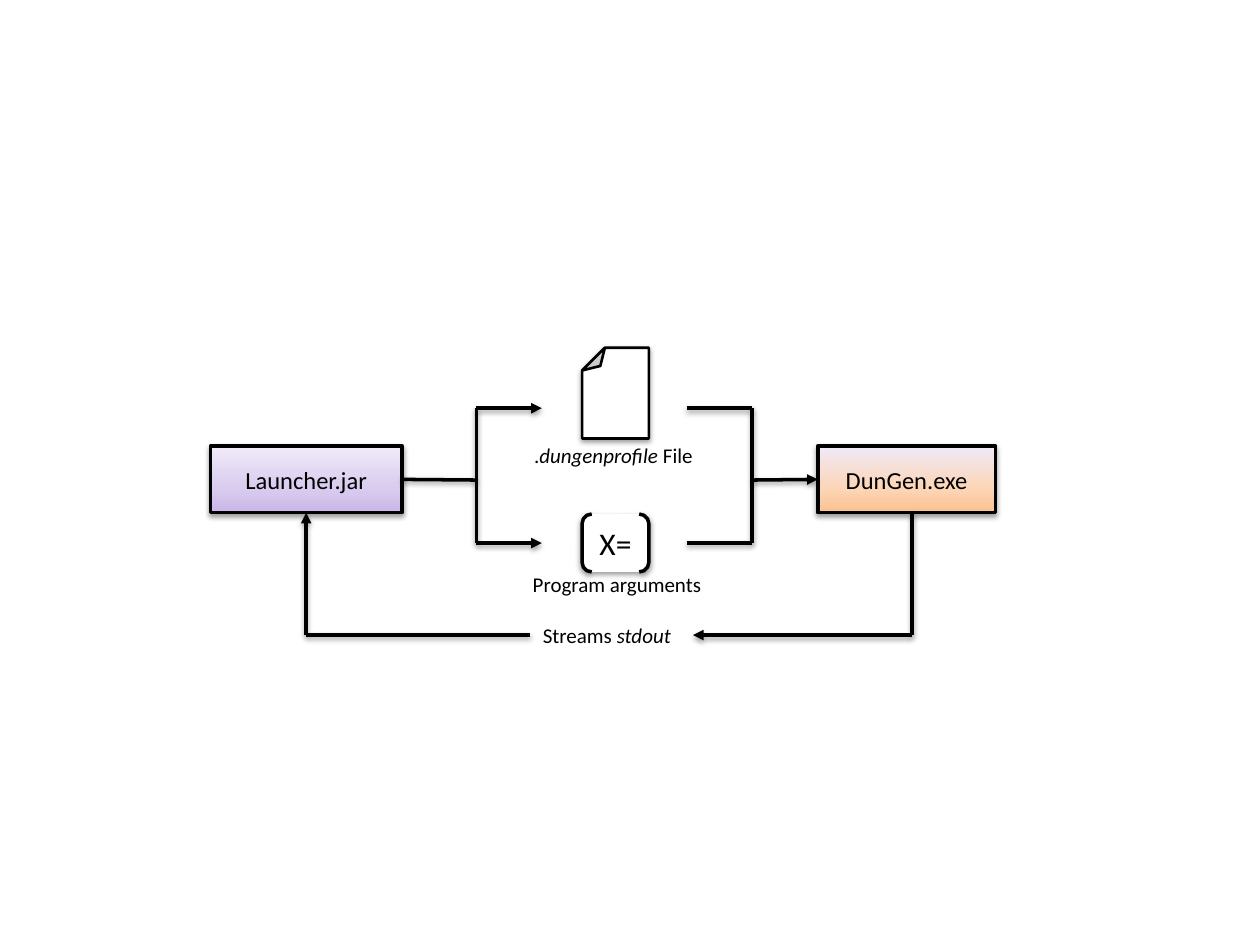
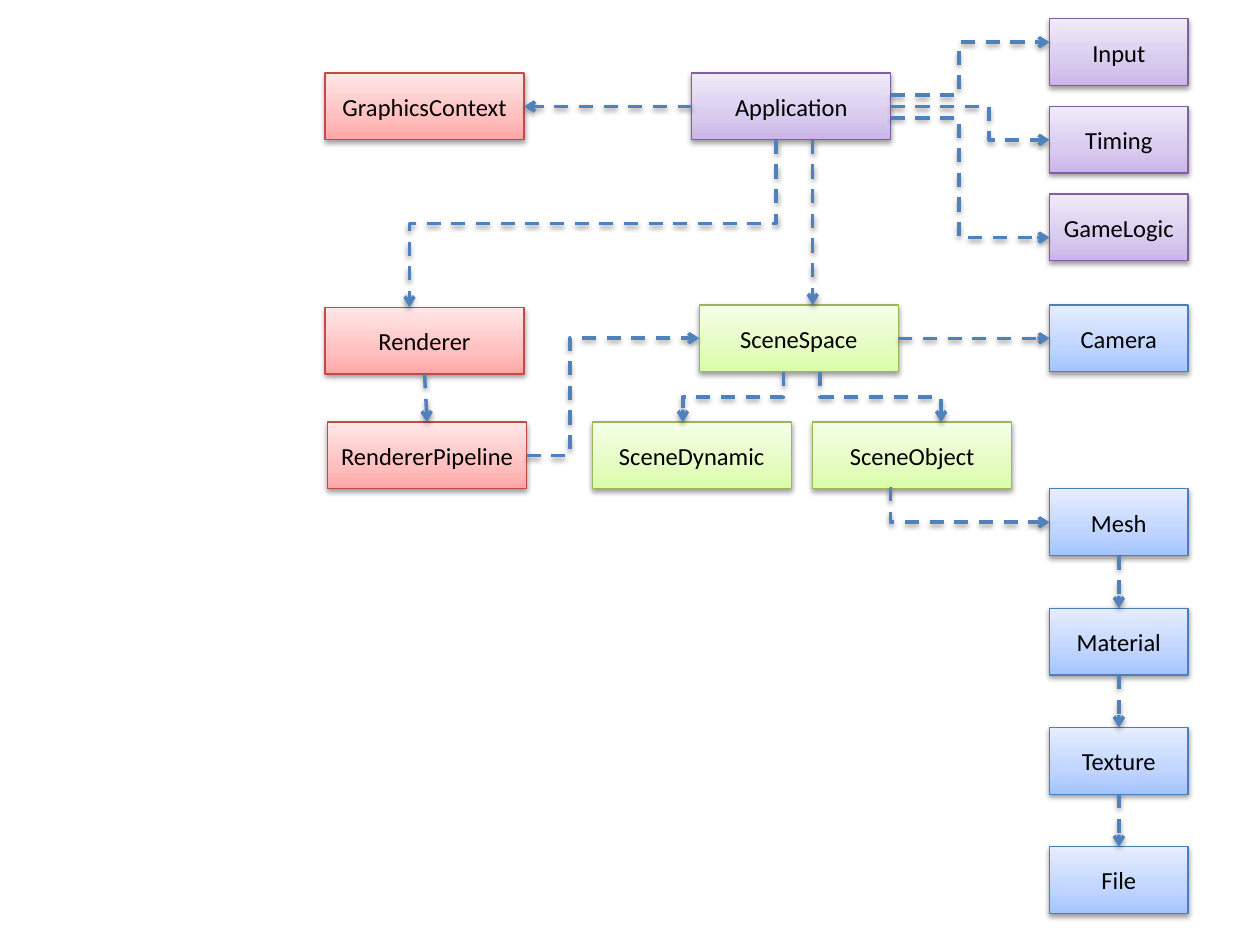
from copy import deepcopy

from lxml import etree
from pptx import Presentation
from pptx.dml.color import RGBColor
from pptx.enum.dml import MSO_LINE
from pptx.enum.shapes import MSO_CONNECTOR, MSO_SHAPE
from pptx.enum.text import MSO_ANCHOR, MSO_AUTO_SIZE, PP_ALIGN
from pptx.oxml.ns import qn
from pptx.util import Inches, Pt

STRAIGHT, ELBOW = MSO_CONNECTOR.STRAIGHT, MSO_CONNECTOR.ELBOW
RECTANGLE = MSO_SHAPE.RECTANGLE
FOLDED_CORNER, BRACKET_PAIR = MSO_SHAPE.FOLDED_CORNER, MSO_SHAPE.DOUBLE_BRACKET
LEFT, CENTER = PP_ALIGN.LEFT, PP_ALIGN.CENTER
TOP, MIDDLE = MSO_ANCHOR.TOP, MSO_ANCHOR.MIDDLE
FIT_TEXT, NO_FIT = MSO_AUTO_SIZE.SHAPE_TO_FIT_TEXT, MSO_AUTO_SIZE.NONE
DASH = MSO_LINE.DASH
TOP_SIDE, LEFT_SIDE, BOTTOM_SIDE, RIGHT_SIDE = range(4)

FONT = "Calibri"
BLACK = RGBColor(0x00, 0x00, 0x00)
WHITE = RGBColor(0xFF, 0xFF, 0xFF)
LINK_BLUE = RGBColor(0x4F, 0x81, 0xBD)
PURPLE_LINE = RGBColor(0x7D, 0x60, 0xA0)
RED_LINE = RGBColor(0xBF, 0x4C, 0x48)
GREEN_LINE = RGBColor(0x98, 0xB9, 0x55)
BLUE_LINE = RGBColor(0x4B, 0x7E, 0xBC)

# Gradients run from the bottom edge to the top edge
STOPS = (0, 0.35, 1)
PURPLE = (RGBColor(0xC9, 0xB5, 0xE8), RGBColor(0xD8, 0xCB, 0xEE), RGBColor(0xF0, 0xEA, 0xF9))
ORANGE = (RGBColor(0xFA, 0xC0, 0x90), RGBColor(0xFC, 0xD5, 0xB5), RGBColor(0xF0, 0xEA, 0xF9))
RED = (RGBColor(0xFF, 0xA6, 0xA5), RGBColor(0xFF, 0xC0, 0xBF), RGBColor(0xFF, 0xE7, 0xE7))
GREEN = (RGBColor(0xDA, 0xFD, 0xA7), RGBColor(0xE4, 0xFC, 0xC2), RGBColor(0xF5, 0xFF, 0xE7))
BLUE = (RGBColor(0xA4, 0xC4, 0xFF), RGBColor(0xBF, 0xD4, 0xFF), RGBColor(0xE6, 0xEE, 0xFF))

NODE_HEIGHT = 0.53
WIDE, NARROW = 1.58, 1.1


def add_shadow(part):
    """Soft shadow straight below the part."""
    properties = part._element.spPr
    effects = properties.find(qn("a:effectLst"))
    if effects is None:
        effects = etree.SubElement(properties, qn("a:effectLst"))
    shadow = etree.SubElement(effects, qn("a:outerShdw"), blurRad=str(Pt(3.1)),
                              dist=str(Pt(1.6)), dir="5400000", rotWithShape="0")
    color = etree.SubElement(shadow, qn("a:srgbClr"), val=str(BLACK))
    etree.SubElement(color, qn("a:alpha"), val="38000")


def adjust_geometry(part, guide, ratio):
    """Set one adjustment of a preset outline."""
    adjustments = part._element.spPr.find(qn("a:prstGeom")).find(qn("a:avLst"))
    etree.SubElement(adjustments, qn("a:gd"), name=guide, fmla=f"val {round(ratio * 100000)}")


def write(part, text, size=14, align=CENTER, wrap=True, fit=NO_FIT, anchor=MIDDLE):
    """Write a string, or (string, italic) pairs, into a part."""
    frame = part.text_frame
    frame.word_wrap, frame.auto_size, frame.vertical_anchor = wrap, fit, anchor
    paragraph = frame.paragraphs[0]
    paragraph.alignment = align
    for words, italic in [(text, False)] if isinstance(text, str) else text:
        run = paragraph.add_run()
        run.text = words
        font = run.font
        font.name, font.size, font.italic = FONT, Pt(size), italic
        font.color.rgb = BLACK


def add_block(slide, kind, left, top, width, height, fill, line=BLACK, weight=2.0):
    """Preset shape with a plain colour or a three-stop gradient."""
    block = slide.shapes.add_shape(kind, Inches(left), Inches(top), Inches(width), Inches(height))
    if isinstance(fill, RGBColor):
        block.fill.solid()
        block.fill.fore_color.rgb = fill
    else:
        block.fill.gradient()
        block.fill.gradient_angle = 90
        stop_list = block._element.spPr.find(qn("a:gradFill")).find(qn("a:gsLst"))
        stop_list.insert(1, deepcopy(stop_list[0]))
        for stop, position, color in zip(block.fill.gradient_stops, STOPS, fill):
            stop.position, stop.color.rgb = position, color
    block.line.color.rgb = line
    block.line.width = Pt(weight)
    block.shadow.inherit = False
    add_shadow(block)
    return block


def add_caption(slide, left, top, width, text):
    caption = slide.shapes.add_textbox(Inches(left), Inches(top), Inches(width), Inches(0.3))
    write(caption, text, size=12, align=LEFT, wrap=False, fit=FIT_TEXT, anchor=TOP)


def style_link(link, color, dash=None, arrow=None):
    link.line.color.rgb = color
    link.line.width = Pt(2)
    if dash:
        link.line.dash_style = dash
    if arrow:
        outline = link._element.spPr.find(qn("a:ln"))
        etree.SubElement(outline, qn("a:tailEnd"), type=arrow)
    add_shadow(link)


# Slide 1: launcher and generator
def launch_flow(slide, left, top):
    def wire(x1, y1, x2, y2, arrow=None, begin=None, end=None):
        link = slide.shapes.add_connector(STRAIGHT, Inches(left + x1), Inches(top + y1),
                                          Inches(left + x2), Inches(top + y2))
        if begin:
            link.begin_connect(*begin)
        if end:
            link.end_connect(*end)
        style_link(link, BLACK, arrow=arrow)

    box_top, main_y, return_y = 0.78, 1.05, 2.28
    box_bottom = box_top + NODE_HEIGHT
    branches = (0.48, 1.55)
    fork_x, merge_x, stub = 2.11, 4.3, 0.52
    launcher_width, generator_left, return_x = 1.52, 4.82, 5.57

    # Two programs
    launcher = add_block(slide, RECTANGLE, left, top + box_top, launcher_width, NODE_HEIGHT, PURPLE)
    write(launcher, "Launcher.jar")
    generator = add_block(slide, RECTANGLE, left + generator_left, top + box_top,
                          1.41, NODE_HEIGHT, ORANGE)
    write(generator, "DunGen.exe")

    # Profile file and arguments
    profile = add_block(slide, FOLDED_CORNER, left + 2.95, top, 0.53, 0.72, WHITE, weight=1.5)
    profile.rotation = 180
    adjust_geometry(profile, "adj", 0.34)
    add_caption(slide, left + 2.47, top + 0.7, 1.48,
                [(".", False), ("dungenprofile ", True), ("File", False)])
    arguments = add_block(slide, BRACKET_PAIR, left + 2.95, top + 1.32, 0.53, 0.46, WHITE)
    write(arguments, "X=", size=18, wrap=False)
    add_caption(slide, left + 2.46, top + 1.73, 1.56, "Program arguments")

    # Fork out of the launcher, merge into the generator
    wire(launcher_width, main_y, fork_x, main_y, begin=(launcher, RIGHT_SIDE))
    wire(merge_x, main_y, generator_left, main_y, arrow="triangle", end=(generator, LEFT_SIDE))
    for branch_y in branches:
        wire(fork_x, main_y, fork_x, branch_y)
        wire(fork_x, branch_y, fork_x + stub, branch_y, arrow="triangle")
        wire(merge_x - stub, branch_y, merge_x, branch_y)
        wire(merge_x, branch_y, merge_x, main_y)

    # Output streamed back to the launcher
    add_caption(slide, left + 2.54, top + 2.13, 1.29, [("Streams ", False), ("stdout", True)])
    wire(return_x, box_bottom, return_x, return_y)
    wire(return_x, return_y, 3.83, return_y, arrow="triangle")
    wire(2.54, return_y, launcher_width / 2, return_y)
    wire(launcher_width / 2, return_y, launcher_width / 2, box_bottom,
         arrow="triangle", end=(launcher, BOTTOM_SIDE))


# Slide 2: class diagram
def class_group(slide, left, top, fill, line, classes):
    """Boxes of one colour; classes holds (name, x, y, width) within the group."""
    group = {}
    for name, x, y, width in classes:
        group[name] = add_block(slide, RECTANGLE, left + x, top + y, width, NODE_HEIGHT,
                                fill, line, 0.75)
        write(group[name], name)
    return group


def application_group(slide, left, top):
    services = [(name, 2.84, row * 0.695, NARROW)
                for row, name in enumerate(("Input", "Timing", "GameLogic"))]
    return class_group(slide, left, top, PURPLE, PURPLE_LINE,
                       [("Application", 0, 0.43, WIDE)] + services)


def rendering_group(slide, left, top):
    return class_group(slide, left, top, RED, RED_LINE,
                       [("GraphicsContext", 0, 0, WIDE), ("Renderer", 0, 1.86, WIDE),
                        ("RendererPipeline", 0.02, 2.77, WIDE)])


def scene_group(slide, left, top):
    return class_group(slide, left, top, GREEN, GREEN_LINE,
                       [("SceneSpace", 0.85, 0, WIDE), ("SceneDynamic", 0, 0.93, WIDE),
                        ("SceneObject", 1.75, 0.93, WIDE)])


def asset_group(slide, left, top):
    chain = [(name, 0, 1.46 + row * 0.947, NARROW)
             for row, name in enumerate(("Mesh", "Material", "Texture", "File"))]
    return class_group(slide, left, top, BLUE, BLUE_LINE, [("Camera", 0, 0, NARROW)] + chain)


def side_point(block, side, shift):
    """Point on a side, shifted along it from the middle."""
    if side in (TOP_SIDE, BOTTOM_SIDE):
        y = block.top + (block.height if side == BOTTOM_SIDE else 0)
        return block.left + block.width // 2 + Inches(shift), y
    x = block.left + (block.width if side == RIGHT_SIDE else 0)
    return x, block.top + block.height // 2 + Inches(shift)


def straight_link(slide, source, source_side, target, target_side, shifts=(0, 0)):
    link = slide.shapes.add_connector(STRAIGHT, *side_point(source, source_side, shifts[0]),
                                      *side_point(target, target_side, shifts[1]))
    if shifts == (0, 0):
        link.begin_connect(source, source_side)
        link.end_connect(target, target_side)
    style_link(link, LINK_BLUE, DASH, "arrow")


def elbow_link(slide, source, source_side, target, target_side, shifts=(0, 0),
               bend=0.5, downward=False):
    """Link with two bends; a downward one starts and ends vertically."""
    x1, y1 = side_point(source, source_side, shifts[0])
    x2, y2 = side_point(target, target_side, shifts[1])
    if downward:
        # Lay the path on its side around the same centre, then turn it a quarter
        center_x, center_y = (x1 + x2) // 2, (y1 + y2) // 2
        half_width, half_height = (y2 - y1) // 2, (x1 - x2) // 2
        x1, x2 = center_x - half_width, center_x + half_width
        y1, y2 = center_y - half_height, center_y + half_height
    link = slide.shapes.add_connector(ELBOW, x1, y1, x2, y2)
    if downward:
        link._element.spPr.find(qn("a:xfrm")).set("rot", "5400000")
    adjust_geometry(link, "adj1", bend)
    style_link(link, LINK_BLUE, DASH, "arrow")


def class_links(slide, classes):
    app, space = classes["Application"], classes["SceneSpace"]
    renderer, pipeline = classes["Renderer"], classes["RendererPipeline"]
    scene_object = classes["SceneObject"]

    # From the application
    straight_link(slide, app, LEFT_SIDE, classes["GraphicsContext"], RIGHT_SIDE)
    straight_link(slide, app, BOTTOM_SIDE, space, TOP_SIDE, (0.17, 0.11))
    elbow_link(slide, app, BOTTOM_SIDE, renderer, TOP_SIDE, (-0.12, -0.12), downward=True)
    for service, shifts, bend in (("Input", (-0.09, -0.08), 0.43), ("Timing", (0, 0), 0.62),
                                  ("GameLogic", (0.09, 0.08), 0.43)):
        elbow_link(slide, app, RIGHT_SIDE, classes[service], LEFT_SIDE, shifts, bend)

    # Rendering and scene
    straight_link(slide, renderer, BOTTOM_SIDE, pipeline, TOP_SIDE)
    elbow_link(slide, pipeline, RIGHT_SIDE, space, LEFT_SIDE, bend=0.25)
    straight_link(slide, space, RIGHT_SIDE, classes["Camera"], LEFT_SIDE)
    for child, shifts in (("SceneDynamic", (-0.12, -0.07)), ("SceneObject", (0.17, 0.23))):
        elbow_link(slide, space, BOTTOM_SIDE, classes[child], TOP_SIDE, shifts, downward=True)

    # Asset chain
    elbow_link(slide, scene_object, BOTTOM_SIDE, classes["Mesh"], LEFT_SIDE, (-0.16, 0), -0.01)
    chain = ("Mesh", "Material", "Texture", "File")
    for owner, part in zip(chain, chain[1:]):
        straight_link(slide, classes[owner], BOTTOM_SIDE, classes[part], TOP_SIDE)


def main():
    deck = Presentation()
    deck.slide_width, deck.slide_height = Inches(10), Inches(7.5)
    blank = deck.slide_layouts[6]

    launch_flow(deck.slides.add_slide(blank), 1.67, 2.76)

    diagram = deck.slides.add_slide(blank)
    classes = {**application_group(diagram, 5.49, 0.15), **rendering_group(diagram, 2.58, 0.58),
               **scene_group(diagram, 4.7, 2.42), **asset_group(diagram, 8.33, 2.42)}
    class_links(diagram, classes)
    deck.save("out.pptx")


if __name__ == "__main__":
    main()
